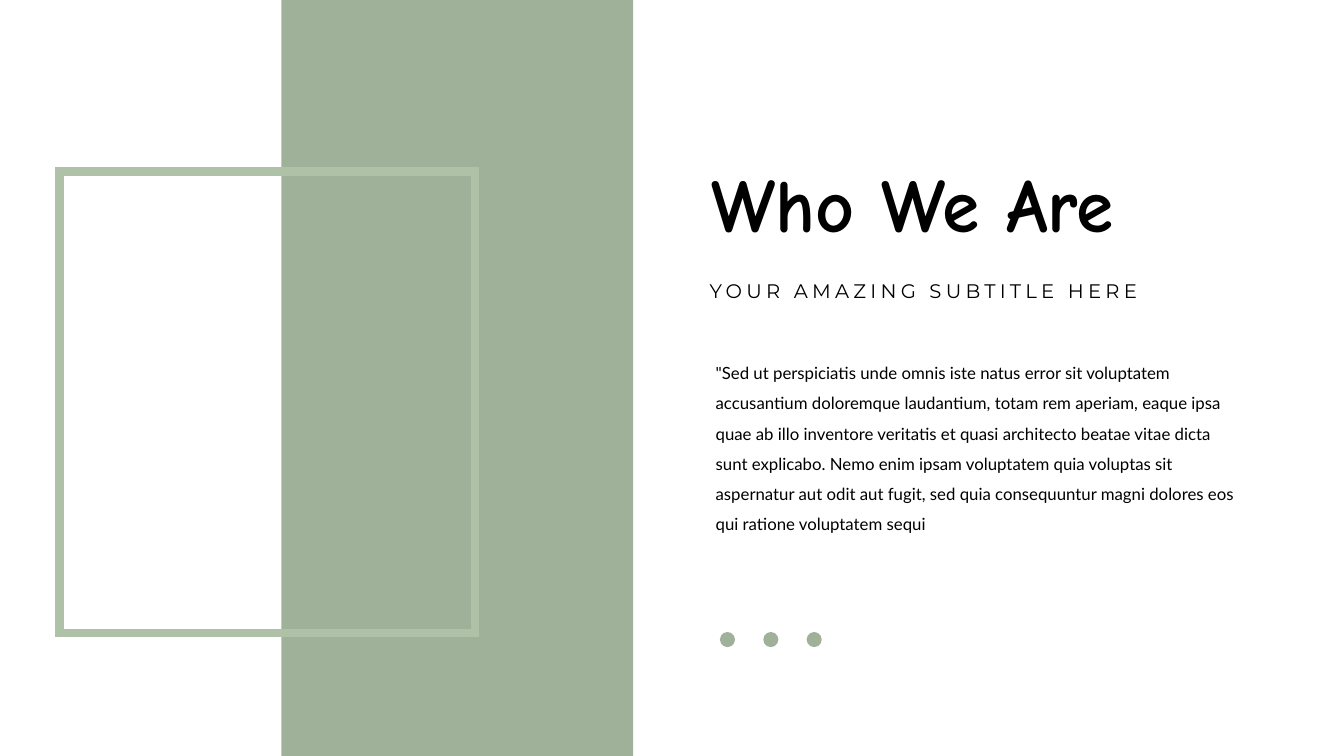
from dataclasses import dataclass

from lxml.etree import SubElement
from pptx import Presentation
from pptx.dml.color import RGBColor
from pptx.enum.shapes import MSO_SHAPE as Shape
from pptx.enum.text import MSO_ANCHOR as Anchor, MSO_AUTO_SIZE as AutoSize, PP_ALIGN as Align
from pptx.oxml.ns import qn
from pptx.util import Inches, Pt

WIDTH, HEIGHT = 13.33, 7.5


@dataclass(frozen=True)
class Theme:
    sage: str = "A0B19A"
    light_sage: str = "AFC1A7"
    ink: str = "000000"
    title_font: str = "Comic Neue"
    subtitle_font: str = "Montserrat"
    body_font: str = "Lato"
    title_size: int = 54
    subtitle_size: int = 14
    body_size: int = 12
    frame_width: int = 6


THEME = Theme()

BODY = ('"Sed ut perspiciatis unde omnis iste natus error sit voluptatem accusantium '
        "doloremque laudantium, totam rem aperiam, eaque ipsa quae ab illo inventore "
        "veritatis et quasi architecto beatae vitae dicta sunt explicabo. Nemo enim ipsam "
        "voluptatem quia voluptas sit aspernatur aut odit aut fugit, sed quia consequuntur "
        "magni dolores eos qui ratione voluptatem sequi")


def rgb(color):
    return RGBColor.from_string(color)


def add_filled(slide, kind, box, color):
    s = slide.shapes.add_shape(kind, *map(Inches, box))
    s.shadow.inherit = False
    s.fill.solid()
    s.fill.fore_color.rgb = rgb(color)
    s.line.fill.background()


def add_frame(slide, box):
    s = slide.shapes.add_shape(Shape.RECTANGLE, *map(Inches, box))
    s.shadow.inherit = False
    s.fill.background()
    s.line.color.rgb = rgb(THEME.light_sage)
    s.line.width = Pt(THEME.frame_width)
    # Square corners
    SubElement(s.line._get_or_add_ln(), qn("a:miter"), lim="800000")


def write_text(sp, text, font, size, line_spacing, before=0, bold=False,
               tracking=0, anchor=Anchor.TOP):
    tf = sp.text_frame
    tf.word_wrap = True
    tf.auto_size = AutoSize.NONE
    tf.vertical_anchor = anchor
    p = tf.paragraphs[0]
    p.alignment = Align.LEFT
    p.line_spacing = line_spacing
    p.space_before = Pt(before)
    r = p.add_run()
    r.text = text
    r.font.name = font
    r.font.size = Pt(size)
    r.font.bold = bold
    r.font.color.rgb = rgb(THEME.ink)
    if tracking:
        r.font._element.set("spc", str(tracking * 100))


def add_title(slide, box, text):
    sp = slide.shapes.title
    sp.left, sp.top, sp.width, sp.height = map(Inches, box)
    write_text(sp, text, THEME.title_font, THEME.title_size, 0.9,
               bold=True, anchor=Anchor.MIDDLE)


def add_paragraph_box(slide, box, text, font, size, tracking=0):
    sp = slide.shapes.add_textbox(*map(Inches, box))
    write_text(sp, text, font, size, 1.5, before=10, tracking=tracking)


def add_dots(slide, left, top, count, pitch, diameter):
    for i in range(count):
        add_filled(slide, Shape.OVAL, (left + i * pitch, top, diameter, diameter), THEME.sage)


def main():
    prs = Presentation()
    prs.slide_width, prs.slide_height = Inches(WIDTH), Inches(HEIGHT)
    slide = prs.slides.add_slide(prs.slide_layouts[5])

    # Left: full-height band with an overlapping frame
    add_filled(slide, Shape.RECTANGLE, (2.79, 0, 3.49, HEIGHT), THEME.sage)
    add_frame(slide, (0.59, 1.7, 4.12, 4.58))

    # Right: heading, subtitle and body
    add_title(slide, (6.96, 1.51, 4.92, 1.1), "Who We Are")
    add_paragraph_box(slide, (7, 3.45, 5.43, 2.23), BODY, THEME.body_font, THEME.body_size)
    add_paragraph_box(slide, (6.94, 2.6, 5.19, 0.62), "YOUR AMAZING SUBTITLE HERE",
                      THEME.subtitle_font, THEME.subtitle_size, tracking=3)

    # Closing row of dots
    add_dots(slide, 7.14, 6.27, count=3, pitch=0.43, diameter=0.15)

    prs.save("out.pptx")


if __name__ == "__main__":
    main()
